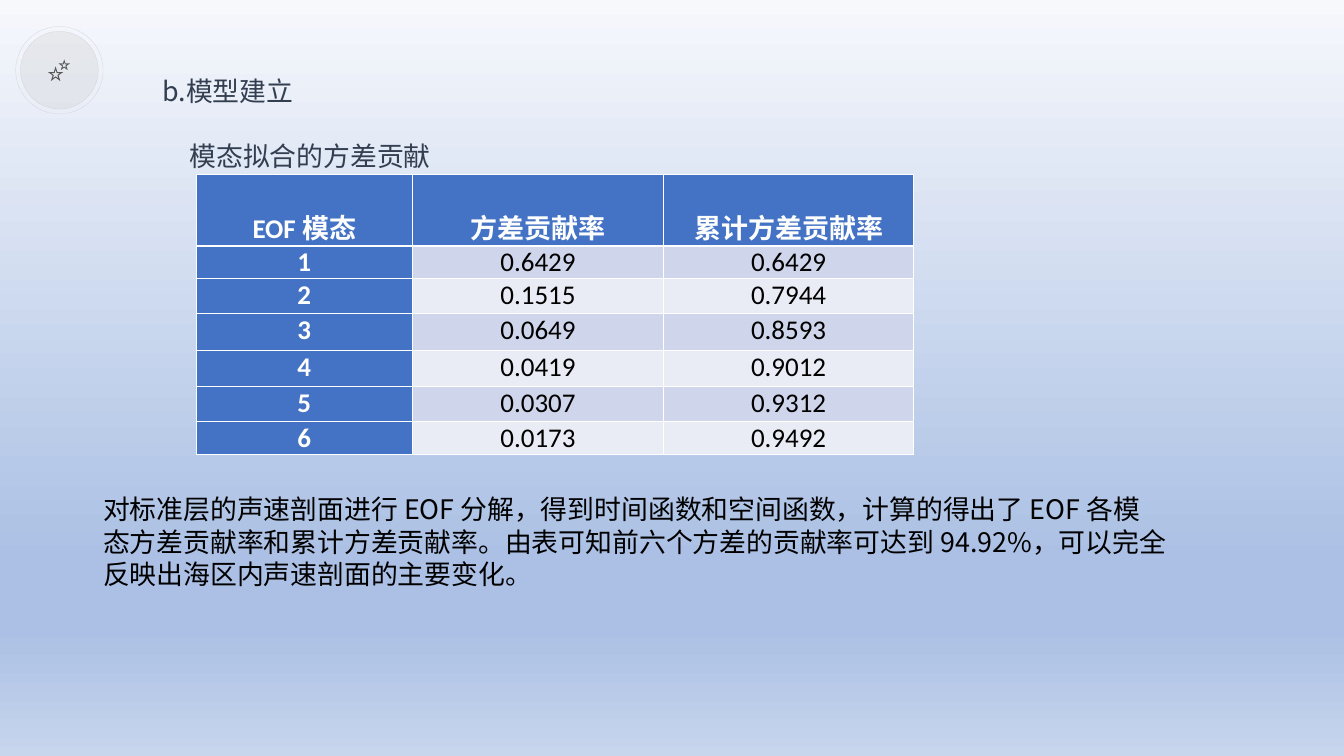
import math
from dataclasses import dataclass

import lxml.etree
import pptx
import pptx.dml.color
import pptx.enum.shapes
import pptx.enum.text
import pptx.oxml
import pptx.oxml.ns
import pptx.util

Inches = pptx.util.Inches
Pt = pptx.util.Pt
qn = pptx.oxml.ns.qn

COLORS = {
    "sky": "F6F8FC", "blue": "ABC0E4", "horizon": "C7D5ED",
    "badge": "D0CECE", "star": "595959", "heading": "333F50",
    "body": "000000", "header": "4472C4", "white": "FFFFFF",
    "odd": "CFD5EA", "even": "E9EBF5",
}
BACKGROUND_STOPS = [(0, "sky"), (74, "blue"), (83, "blue"), (100, "horizon")]
CJK_FONT = "Noto Sans CJK SC"
TEXT_SIZE = 35.8
LINE_PITCH = 43

HEADER = ["EOF 模态", "方差贡献率", "累计方差贡献率"]
CONTRIBUTIONS = [
    ("0.6429", "0.6429"), ("0.1515", "0.7944"), ("0.0649", "0.8593"),
    ("0.0419", "0.9012"), ("0.0307", "0.9312"), ("0.0173", "0.9492"),
]
COLUMN_WIDTHS = [4.01, 4.65, 4.63]
ROW_HEIGHTS = [1.33, 0.6, 0.65, 0.68, 0.67, 0.65, 0.6]


@dataclass
class Ring:
    radius: float
    filled: bool


@dataclass
class Star:
    x: float
    y: float
    radius: float
    hole: float


@dataclass
class Line:
    text: str
    indent: float = 0
    space_before: float = 0


@dataclass
class TextBlock:
    left: float
    top: float
    width: float
    color: str
    lines: list[Line]


RINGS = [Ring(0.72, True), Ring(0.81, False)]
STARS = [Star(1.03, 1.38, 0.15, 0.09), Star(1.19, 1.21, 0.11, 0.06)]
TEXT_BLOCKS = [
    TextBlock(2.91, 1.34, 12.44, "heading", [
        Line("b.模型建立"),
        Line("模态拟合的方差贡献", indent=0.5, space_before=LINE_PITCH),
    ]),
    TextBlock(1.81, 9.08, 22.5, "body", [
        Line("对标准层的声速剖面进行 EOF 分解，得到时间函数和空间函数，计算的得出了 EOF 各模"),
        Line("态方差贡献率和累计方差贡献率。由表可知前六个方差的贡献率可达到 94.92%，可以完全"),
        Line("反映出海区内声速剖面的主要变化。"),
    ]),
]


def rgb(name: str) -> pptx.dml.color.RGBColor:
    return pptx.dml.color.RGBColor.from_string(COLORS[name])


def add_solid(parent, color: str):
    solid = lxml.etree.SubElement(parent, qn("a:solidFill"))
    return lxml.etree.SubElement(solid, qn("a:srgbClr"), val=COLORS[color])


def set_font(paragraph, name: str, size: float, color: str, bold: bool = False) -> None:
    font = paragraph.font
    font.name, font.size, font.bold = name, Pt(size), bold
    font.color.rgb = rgb(color)
    defaults = paragraph._p.pPr.find(qn("a:defRPr"))
    lxml.etree.SubElement(defaults, qn("a:ea"), typeface=CJK_FONT)


def paint_background(slide) -> None:
    fill = slide.background.fill
    fill.gradient()
    fill.gradient_angle = 270
    stops = slide._element.find(".//" + qn("a:gsLst"))
    for stop in list(stops):
        stops.remove(stop)
    for position, color in BACKGROUND_STOPS:
        stop = lxml.etree.SubElement(stops, qn("a:gs"), pos=str(position * 1000))
        lxml.etree.SubElement(stop, qn("a:srgbClr"), val=COLORS[color])


def draw_ring(group, ring: Ring) -> None:
    size = Inches(2 * ring.radius)
    circle = group.shapes.add_shape(
        pptx.enum.shapes.MSO_SHAPE.OVAL,
        Inches(1.1 - ring.radius), Inches(1.3 - ring.radius), size, size)
    circle.shadow.inherit = False
    circle.line.color.rgb = rgb("badge")
    circle.line.width = Pt(0.25)
    if ring.filled:
        circle.fill.solid()
        circle.fill.fore_color.rgb = rgb("badge")
        tint = circle._element.spPr.find(qn("a:solidFill"))[0]
        lxml.etree.SubElement(tint, qn("a:alpha"), val="30000")
    else:
        circle.fill.background()


def star_points(star: Star, radius: float) -> list[tuple[int, int]]:
    points = []
    for corner in range(10):
        reach = radius * (1 if corner % 2 == 0 else 0.38)
        angle = math.radians(36 * corner - 90)
        points.append((Inches(star.x + reach * math.cos(angle)),
                       Inches(star.y + reach * math.sin(angle))))
    return points


def draw_stars(group, stars: list[Star]) -> None:
    outlines = [star_points(star, radius)
                for star in stars for radius in (star.radius, star.hole)]
    builder = group.shapes.build_freeform(*outlines[0][0], scale=1.0)
    for outline in outlines:
        if outline is not outlines[0]:
            builder.move_to(*outline[0])
        builder.add_line_segments(outline[1:], close=True)
    icon = builder.convert_to_shape()
    icon.shadow.inherit = False
    icon.fill.solid()
    icon.fill.fore_color.rgb = rgb("star")
    icon.line.fill.background()


def draw_text(slide, block: TextBlock) -> None:
    box = slide.shapes.add_textbox(
        Inches(block.left), Inches(block.top), Inches(block.width), Inches(1.91))
    frame = box.text_frame
    frame.word_wrap = True
    for index, line in enumerate(block.lines):
        paragraph = frame.add_paragraph() if index else frame.paragraphs[0]
        paragraph.text = line.text
        paragraph.line_spacing = Pt(LINE_PITCH)
        if line.space_before:
            paragraph.space_before = Pt(line.space_before)
        if line.indent:
            paragraph._p.get_or_add_pPr().set("marL", str(Inches(line.indent)))
        set_font(paragraph, CJK_FONT, TEXT_SIZE, block.color)


def fill_cell(cell, text: str, fill: str, is_header: bool, is_label: bool) -> None:
    cell.margin_left = cell.margin_right = Inches(0.07)
    cell.margin_top = cell.margin_bottom = 0
    anchors = pptx.enum.text.MSO_ANCHOR
    cell.vertical_anchor = anchors.BOTTOM if is_header else anchors.TOP
    cell.text = text
    paragraph = cell.text_frame.paragraphs[0]
    paragraph.alignment = pptx.enum.text.PP_ALIGN.CENTER
    set_font(paragraph, "Calibri", 36, "white" if is_label else "body", is_label)
    properties = cell._tc.get_or_add_tcPr()
    for side in ("lnL", "lnR", "lnT", "lnB"):
        width = Pt(3 if is_header and side == "lnB" else 1)
        border = lxml.etree.SubElement(properties, qn("a:" + side), w=str(width))
        add_solid(border, "white")
    cell.fill.solid()
    cell.fill.fore_color.rgb = rgb(fill)


def draw_table(slide) -> None:
    rows = [HEADER] + [(str(mode), *rates)
                       for mode, rates in enumerate(CONTRIBUTIONS, 1)]
    table = slide.shapes.add_table(
        len(rows), len(HEADER), Inches(3.63), Inches(3.23),
        Inches(sum(COLUMN_WIDTHS)), Inches(sum(ROW_HEIGHTS))).table
    for column, width in zip(table.columns, COLUMN_WIDTHS):
        column.width = Inches(width)
    for r, (values, height) in enumerate(zip(rows, ROW_HEIGHTS)):
        table.rows[r].height = Inches(height)
        for c, value in enumerate(values):
            is_label = r == 0 or c == 0
            fill = "header" if is_label else "odd" if r % 2 else "even"
            fill_cell(table.cell(r, c), value, fill, r == 0, is_label)


def main() -> None:
    """Build the slide on the variance contribution of the EOF modes."""
    deck = pptx.Presentation()
    deck.slide_width, deck.slide_height = Inches(24.89), Inches(14)
    slide = deck.slides.add_slide(deck.slide_layouts[6])
    paint_background(slide)
    badge = slide.shapes.add_group_shape()
    for ring in RINGS:
        draw_ring(badge, ring)
    draw_stars(badge, STARS)
    draw_text(slide, TEXT_BLOCKS[0])
    draw_table(slide)
    draw_text(slide, TEXT_BLOCKS[1])
    deck.save("out.pptx")


if __name__ == "__main__":
    main()
